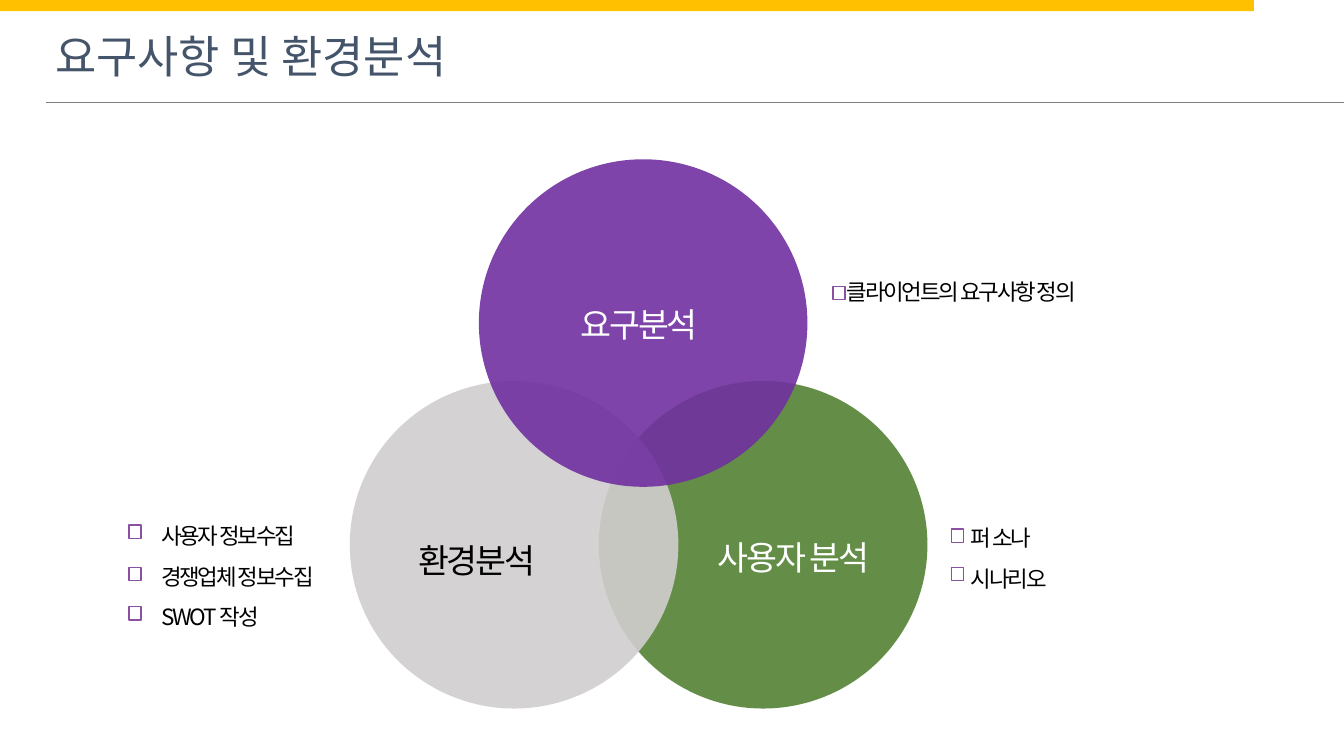
"""Build the requirements and environment analysis slide with three overlapping circles."""
import pptx
import pptx.util
import pptx.dml.color
import pptx.enum.shapes
import pptx.enum.text
import pptx.oxml.ns
import lxml.etree

THEME = {
    "font": "Noto Sans CJK KR",
    "title_pt": 32, "label_pt": 24, "note_pt": 16,
    "title": "44546A", "bar": "FFC000", "rule": "7F7F7F",
    "user": "548235", "environment": "D0CECE", "needs": "7030A0",
    "bullet": "8B50A2", "white": "FFFFFF", "black": "000000",
}
SHAPE = pptx.enum.shapes.MSO_SHAPE
ALIGN = pptx.enum.text.PP_ALIGN
RGB = pptx.dml.color.RGBColor.from_string

prs = pptx.Presentation()
prs.slide_width = pptx.util.Inches(13.33)
prs.slide_height = pptx.util.Inches(7.5)
col, row = prs.slide_width / 100, prs.slide_height / 100
s = prs.slides.add_slide(prs.slide_layouts[6])


def add_figure(kind, x, y, w, h, fill, line=None, alpha=None):
    sp = s.shapes.add_shape(kind, int(x * col), int(y * row), int(w * col), int(h * row))
    sp.shadow.inherit = False
    sp.fill.solid()
    sp.fill.fore_color.rgb = RGB(THEME[fill])
    if line:
        sp.line.color.rgb = RGB(THEME[line])
        sp.line.width = pptx.util.Pt(1)
    else:
        sp.line.fill.background()
    if alpha:
        clr = sp.fill._xPr.find(".//" + pptx.oxml.ns.qn("a:srgbClr"))
        lxml.etree.SubElement(clr, pptx.oxml.ns.qn("a:alpha")).set("val", str(alpha * 1000))


def add_text(text, x, y, w, h, size, color, align=None, spacing=None, tracking=None, wrap=True):
    sp = s.shapes.add_textbox(int(x * col), int(y * row), int(w * col), int(h * row))
    tf = sp.text_frame
    tf.word_wrap = wrap
    tf.auto_size = pptx.enum.text.MSO_AUTO_SIZE.SHAPE_TO_FIT_TEXT
    tf.text = text
    for p in tf.paragraphs:
        p.alignment = align
        p.line_spacing = spacing
        for r in p.runs:
            r.font.size = pptx.util.Pt(THEME[size])
            r.font.name = THEME["font"]
            r.font.color.rgb = RGB(THEME[color])
            rPr = r._r.get_or_add_rPr()
            lxml.etree.SubElement(rPr, pptx.oxml.ns.qn("a:ea")).set("typeface", THEME["font"])
            if tracking:
                rPr.set("spc", str(tracking))


add_figure(SHAPE.RECTANGLE, 0, 0, 93.3, 1.47, "bar")
add_text("요구사항 및 환경분석", 3.38, 3.2, 35.4, 8.53, "title_pt", "title")

rule = s.shapes.add_connector(pptx.enum.shapes.MSO_CONNECTOR.STRAIGHT,
                              int(3.45 * col), int(13.6 * row), int(100 * col), int(13.6 * row))
rule.line.color.rgb = RGB(THEME["rule"])
rule.line.width = pptx.util.Pt(0.5)
lxml.etree.SubElement(rule._element.spPr, pptx.oxml.ns.qn("a:effectLst"))

circles = [(44.56, 50.4, "user"), (26.03, 50.4, "environment"), (35.63, 21.07, "needs")]
for x, y, fill in circles:
    add_figure(SHAPE.OVAL, x, y, 24.45, 43.33, fill, alpha=90)

labels = [
    ("환경분석", 30, 70.8, 10.95, "black"),
    ("사용자 분석", 52, 70.4, 14.1, "white"),
    ("요구분석", 42.08, 39.6, 10.95, "white"),
]
for text, x, y, w, color in labels:
    add_text(text, x, y, w, 6.67, "label_pt", color, ALIGN.CENTER, tracking=-150, wrap=False)

notes = [
    (["사용자 정보수집", "경쟁업체 정보수집", "SWOT 작성"],
     11.25, 66.67, 20.55, 17.47, 1.5, 9.6, [69.47, 75.07, 80.27]),
    (["퍼 소나", "시나리오"], 71.49, 66.93, 20.55, 12.13, 1.5, 70.78, [70, 75.07]),
    (["클라이언트의 요구사항 정의"], 62.26, 36.13, 22.88, 4.93, None, 61.97, [37.87]),
]
for lines, x, y, w, h, spacing, bullet_x, bullet_ys in notes:
    add_text("\n".join(lines), x, y, w, h, "note_pt", "black", ALIGN.JUSTIFY, spacing, -150)
    for bullet_y in bullet_ys:
        add_figure(SHAPE.RECTANGLE, bullet_x, bullet_y, 0.9, 1.73, "white", "bullet")

prs.save("out.pptx")
